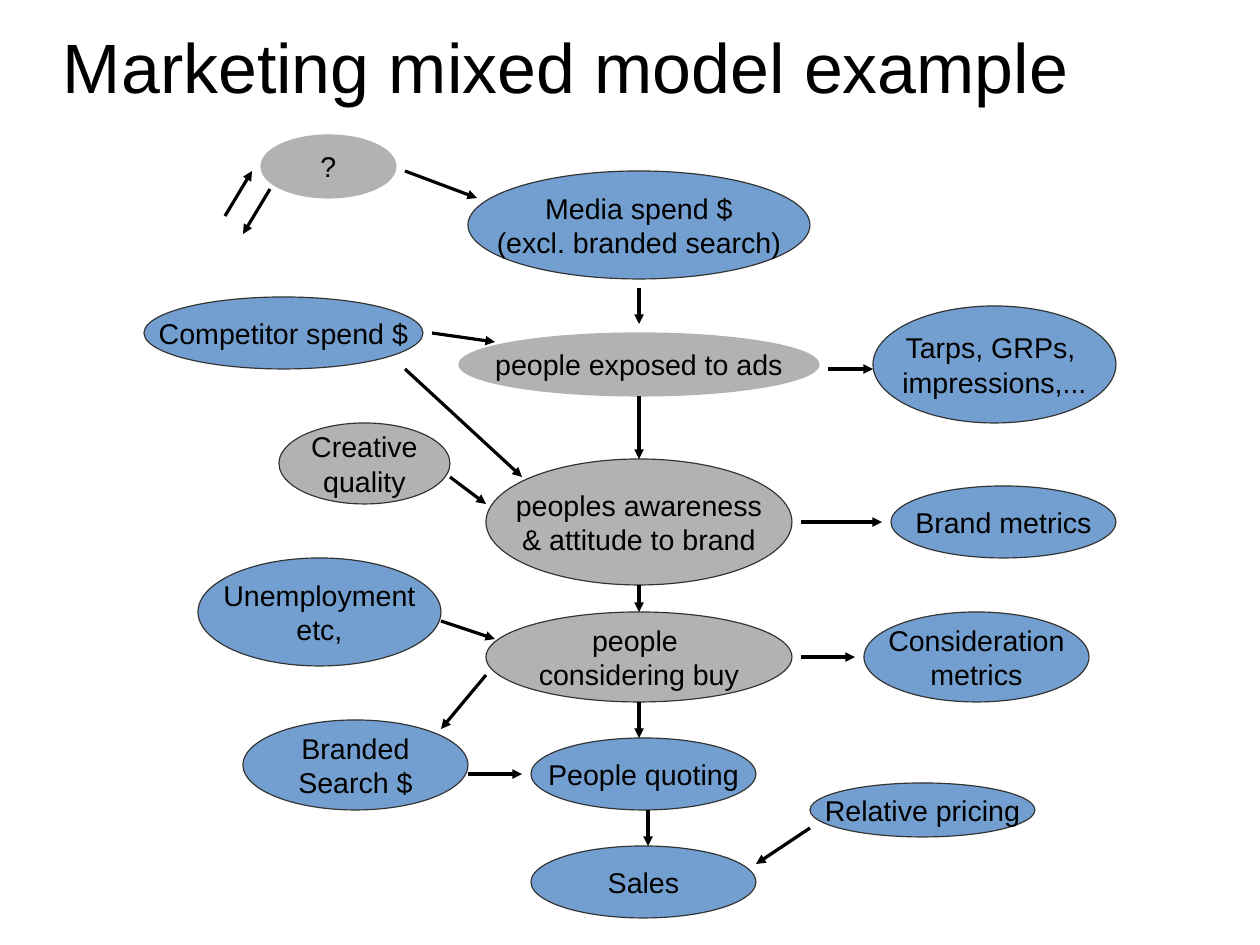
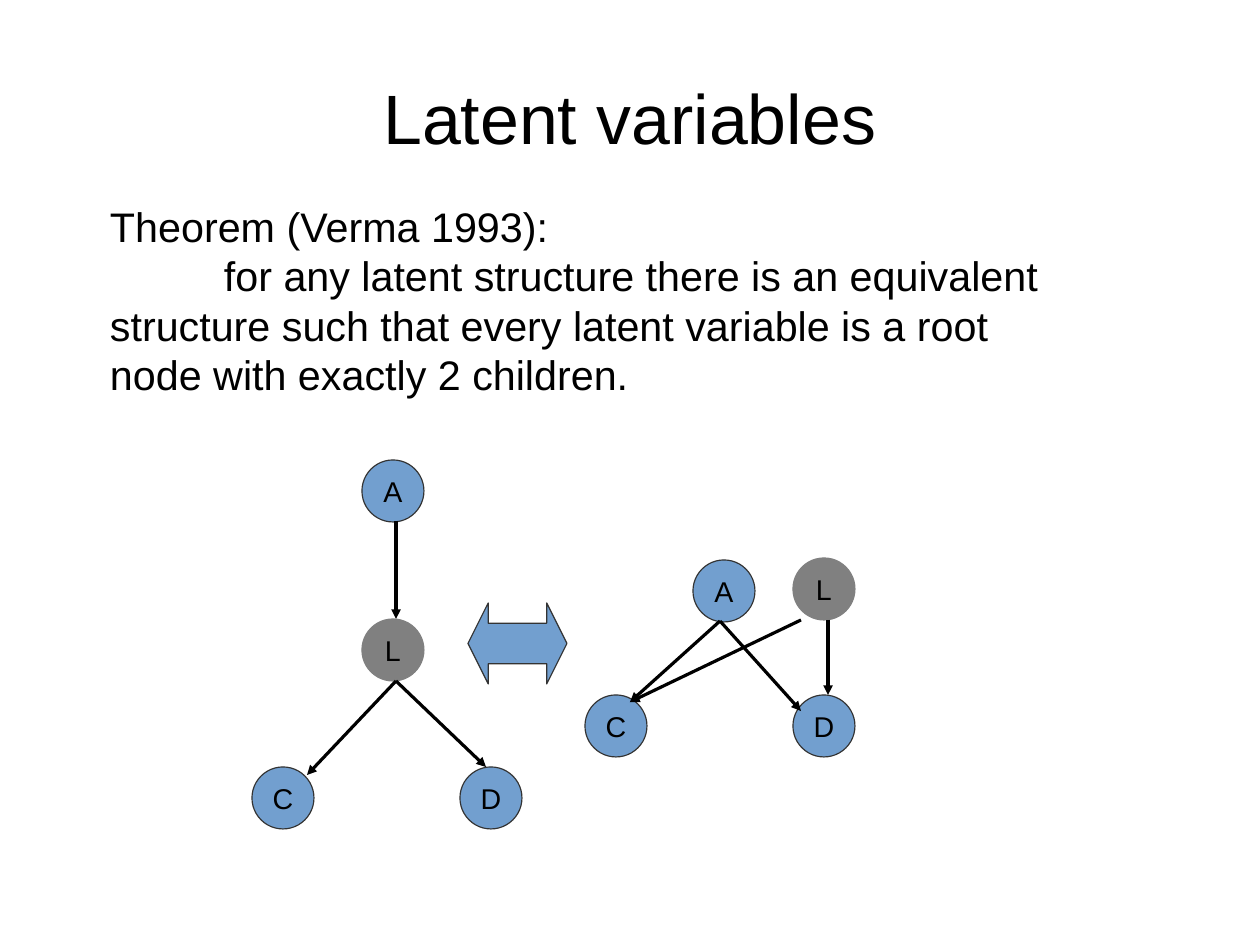
import pptx
import pptx.util
import pptx.dml.color
import pptx.enum.shapes
import pptx.enum.text
import pptx.oxml

PX = 8000  # EMU in one px
FONT = "Arial"
BLACK, OUTLINE, BLUE = "000000", "333333", "729FCF"
SILVER, GREY = "B2B2B2", "808080"
SHAPES = pptx.enum.shapes.MSO_SHAPE
ALIGN = pptx.enum.text.PP_ALIGN
ANCHOR = pptx.enum.text.MSO_ANCHOR
TITLE_ONLY, TITLE_AND_BODY = 5, 1

# text, left, top, width, height, fill, outline
MODEL_NODES = [
    ("Creative\nquality", 279, 423, 171, 81, SILVER, OUTLINE),
    ("people exposed to ads", 459, 333, 360, 63, SILVER, SILVER),
    ("Media spend $\n(excl. branded search)", 468, 171, 342, 108, BLUE, OUTLINE),
    ("Tarps, GRPs, \nimpressions,...", 873, 306, 243, 117, BLUE, OUTLINE),
    ("peoples awareness\n& attitude to brand", 486, 459, 306, 126, SILVER, OUTLINE),
    ("Brand metrics", 891, 486, 225, 72, BLUE, OUTLINE),
    ("people \nconsidering buy", 486, 612, 306, 90, SILVER, OUTLINE),
    ("People quoting", 531, 738, 225, 72, BLUE, OUTLINE),
    ("Sales", 531, 846, 225, 72, BLUE, OUTLINE),
    ("Branded\nSearch $", 243, 720, 225, 90, BLUE, OUTLINE),
    ("Relative pricing", 810, 783, 225, 54, BLUE, OUTLINE),
    ("Consideration\nmetrics", 864, 612, 225, 90, BLUE, OUTLINE),
    ("Unemployment\netc,", 198, 558, 243, 108, BLUE, OUTLINE),
    ("Competitor spend $", 144, 297, 279, 72, BLUE, OUTLINE),
    ("?", 261, 135, 135, 63, SILVER, SILVER),
]

# from x, from y, to x, to y
MODEL_ARROWS = [
    (639, 288, 639, 324), (639, 396, 639, 459), (450, 477, 486, 504),
    (801, 522, 882, 522), (828, 369, 873, 369), (801, 657, 855, 657),
    (486, 675, 441, 729), (639, 702, 639, 738), (648, 810, 648, 846),
    (639, 585, 639, 612), (468, 774, 522, 774), (810, 828, 756, 864),
    (441, 621, 495, 639), (432, 333, 495, 342), (405, 369, 522, 477),
    (405, 171, 477, 198), (225, 216, 252, 171), (270, 189, 243, 234),
]

THEOREM = ("Theorem (Verma 1993):\n"
           "for any latent structure there is an equivalent structure such that "
           "every latent variable is a root node with exactly 2 children.")
CIRCLE = 62
# letter, left, top
LATENT_NODES = [
    ("A", 362, 460), ("L", 362, 619), ("C", 252, 767), ("D", 460, 767),
    ("A", 693, 560), ("L", 793, 558), ("C", 585, 695), ("D", 793, 695),
]
LATENT_ARROWS = [
    (396, 521, 396, 619), (396, 681, 307, 775), (396, 681, 486, 767),
    (720, 621, 630, 702), (720, 621, 801, 711), (801, 620, 630, 702),
    (828, 620, 828, 695),
]
EQUIVALENCE = (468, 603, 99, 81)


def px(*lengths):
    return [length * PX for length in lengths]


def rgb(value):
    return pptx.dml.color.RGBColor.from_string(value)


def put_text(shape, text, size=18, align=ALIGN.CENTER, anchor=ANCHOR.MIDDLE,
             wrap=True, insets=(11, 6, 11, 6), last_indent=None):
    """Fill the shape, one paragraph a line; last_indent (px) turns bullets off."""
    frame = shape.text_frame
    frame.text = text
    frame.auto_size = pptx.enum.text.MSO_AUTO_SIZE.NONE
    frame.word_wrap = wrap
    frame.vertical_anchor = anchor
    (frame.margin_left, frame.margin_top,
     frame.margin_right, frame.margin_bottom) = px(*insets)
    for paragraph in frame.paragraphs:
        if last_indent is not None:
            properties = paragraph._p.get_or_add_pPr()
            is_last = paragraph._p is frame.paragraphs[-1]._p
            properties.set("marL", "0")
            properties.set("indent", str(last_indent * PX if is_last else 0))
            properties.append(pptx.oxml.parse_xml(
                '<a:buNone xmlns:a="http://schemas.openxmlformats.org/drawingml/2006/main"/>'))
        paragraph.alignment = align
        paragraph.space_before = pptx.util.Pt(0)
        for run in paragraph.runs:
            run.font.name = FONT
            run.font.size = pptx.util.Pt(size)
            run.font.color.rgb = rgb(BLACK)


def place(shape, *box):
    shape.left, shape.top, shape.width, shape.height = px(*box)


def add_slide(presentation, layout, title, top, height, **text_format):
    slide = presentation.slides.add_slide(presentation.slide_layouts[layout])
    place(slide.shapes.title, 63, top, 1134, height)
    put_text(slide.shapes.title, title, size=44, **text_format)
    return slide


def add_filled(slide, kind, box, fill=BLUE, outline=OUTLINE):
    shape = slide.shapes.add_shape(kind, *px(*box))
    shape.shadow.inherit = False
    shape.fill.solid()
    shape.fill.fore_color.rgb = rgb(fill)
    shape.line.color.rgb = rgb(outline)
    shape.line.width = 0
    return shape


def add_node(slide, text, box, fill, outline):
    put_text(add_filled(slide, SHAPES.OVAL, box, fill, outline), text, wrap=False)


def add_arrow(slide, *ends):
    arrow = slide.shapes.add_connector(
        pptx.enum.shapes.MSO_CONNECTOR.STRAIGHT, *px(*ends))
    arrow.line.color.rgb = rgb(BLACK)
    arrow.line.width = 0
    line = arrow.line._get_or_add_ln()
    line.append(line.makeelement(pptx.oxml.ns.qn("a:tailEnd"), {"type": "triangle"}))
    properties = arrow._element.spPr
    properties.append(properties.makeelement(pptx.oxml.ns.qn("a:effectLst"), {}))


def build_marketing(presentation):
    slide = add_slide(presentation, TITLE_ONLY, "Marketing mixed model example", 0, 216,
                      align=ALIGN.LEFT, insets=(0, 0, 0, 84))
    for text, left, top, width, height, fill, outline in MODEL_NODES:
        add_node(slide, text, (left, top, width, height), fill, outline)
    for ends in MODEL_ARROWS:
        add_arrow(slide, *ends)


def build_latent(presentation):
    slide = add_slide(presentation, TITLE_AND_BODY, "Latent variables", 38, 158,
                      insets=(0, 0, 0, 0))
    body = slide.placeholders[1]
    place(body, 99, 195, 972, 197)
    put_text(body, THEOREM, size=26, align=ALIGN.LEFT, anchor=ANCHOR.TOP, last_indent=114)
    for letter, left, top in LATENT_NODES:
        colors = (GREY, GREY) if letter == "L" else (BLUE, OUTLINE)
        add_node(slide, letter, (left, top, CIRCLE, CIRCLE), *colors)
    for ends in LATENT_ARROWS:
        add_arrow(slide, *ends)
    double_arrow = add_filled(slide, SHAPES.LEFT_RIGHT_ARROW, EQUIVALENCE)
    double_arrow.adjustments[0] = 0.5
    double_arrow.adjustments[1] = 0.25


def main():
    presentation = pptx.Presentation()
    presentation.slide_width, presentation.slide_height = px(1260, 945)
    build_marketing(presentation)
    build_latent(presentation)
    presentation.save("out.pptx")


if __name__ == "__main__":
    main()
